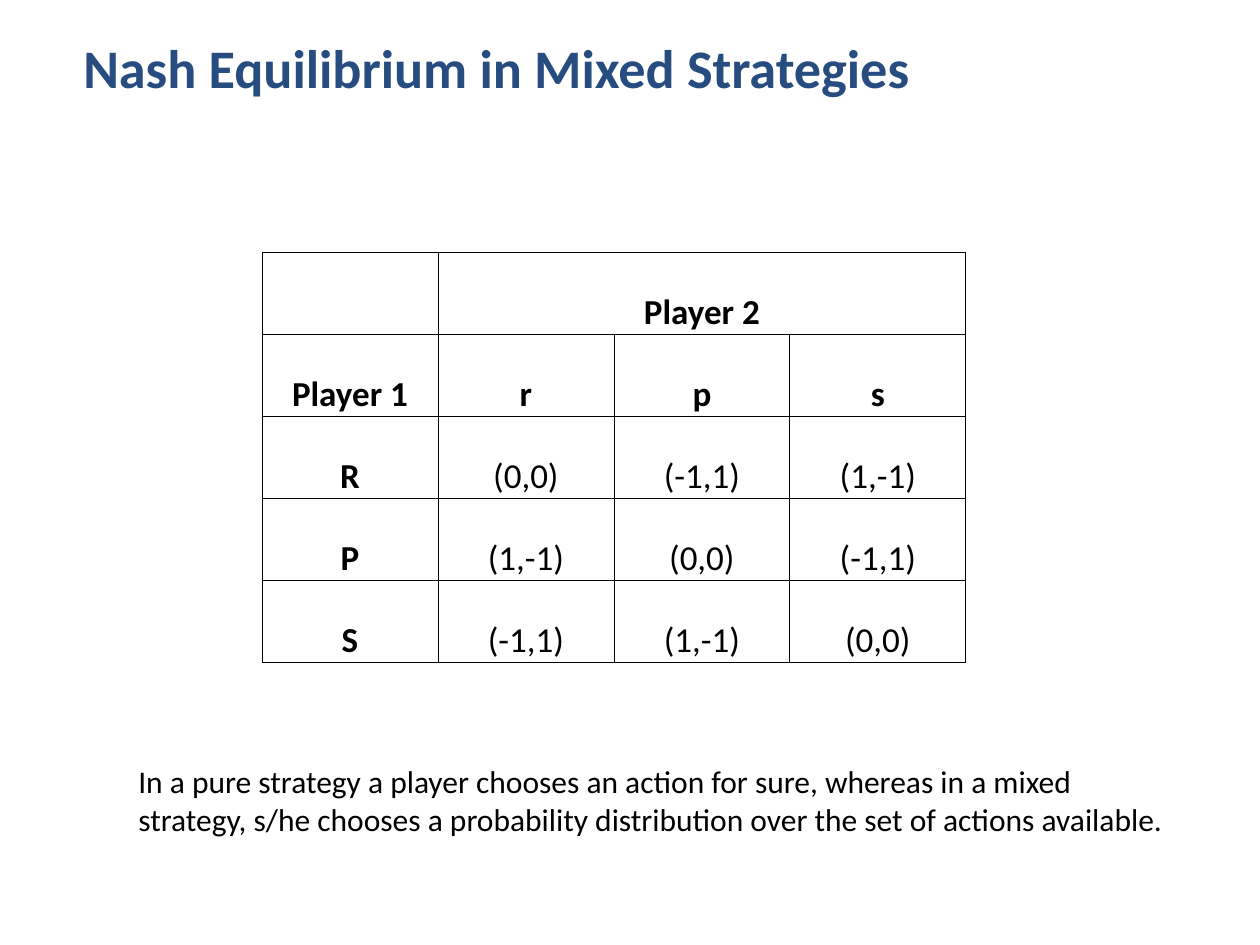
from dataclasses import dataclass

import pptx
import pptx.dml.color
import pptx.enum.text
import pptx.oxml
import pptx.oxml.ns
import pptx.util

EMU_PER_PX = 914400 / 126
FONT = "Calibri"
COLORS = {"title": "264C80", "text": "000000", "border": "000000"}
BORDER_POINTS = 0.5


@dataclass(frozen=True)
class TextBlock:
    text: str
    left: int
    top: int
    width: int
    height: int
    size: int
    color: str
    bold: bool = False
    indent: int = 0
    line_spacing: float = 1.0


@dataclass(frozen=True)
class PayoffTable:
    rows: tuple[tuple[str, ...], ...]
    left: int
    top: int
    column_width: int
    row_height: int
    size: int


TITLE = TextBlock("Nash Equilibrium in Mixed Strategies", 63, 35, 1134, 158, 31,
                  "title", bold=True, indent=8, line_spacing=0.9)
EXPLANATION = TextBlock(
    "In a pure strategy a player chooses an action for sure, whereas in a mixed "
    "strategy, s/he chooses a probability distribution over the set of actions available.",
    126, 756, 1071, 120, 18, "text")
PAYOFFS = PayoffTable(
    (("", "Player 2", "", ""),
     ("Player 1", "r", "p", "s"),
     ("R", "(0,0)", "(-1,1)", "(1,-1)"),
     ("P", "(1,-1)", "(0,0)", "(-1,1)"),
     ("S", "(-1,1)", "(1,-1)", "(0,0)")),
    262, 252, 176, 82, 20)


def px(length: int) -> pptx.util.Emu:
    return pptx.util.Emu(round(length * EMU_PER_PX))


def set_font(paragraph, size: int, color: str, bold: bool) -> None:
    font = paragraph.font
    font.name = FONT
    font.size = pptx.util.Pt(size)
    font.bold = bold
    font.color.rgb = pptx.dml.color.RGBColor.from_string(COLORS[color])


def add_text(slide, block: TextBlock) -> None:
    shape = slide.shapes.add_textbox(
        px(block.left), px(block.top), px(block.width), px(block.height))
    shape.text_frame.word_wrap = True
    paragraph = shape.text_frame.paragraphs[0]
    paragraph.text = block.text
    paragraph.line_spacing = block.line_spacing
    if block.indent:
        paragraph._p.get_or_add_pPr().set("marL", str(px(block.indent)))
    set_font(paragraph, block.size, block.color, block.bold)


def set_borders(cell) -> None:
    properties = cell._tc.get_or_add_tcPr()
    for position, side in enumerate(("lnL", "lnR", "lnT", "lnB")):
        line = pptx.oxml.parse_xml(
            f'<a:{side} {pptx.oxml.ns.nsdecls("a")} w="{pptx.util.Pt(BORDER_POINTS)}">'
            f'<a:solidFill><a:srgbClr val="{COLORS["border"]}"/></a:solidFill></a:{side}>')
        properties.insert(position, line)


def add_payoff_table(slide, payoffs: PayoffTable) -> None:
    row_count, column_count = len(payoffs.rows), len(payoffs.rows[0])
    table = slide.shapes.add_table(
        row_count, column_count, px(payoffs.left), px(payoffs.top),
        px(payoffs.column_width * column_count), px(payoffs.row_height * row_count)).table
    table.first_row = table.horz_banding = False
    for column in table.columns:
        column.width = px(payoffs.column_width)
    for row in table.rows:
        row.height = px(payoffs.row_height)

    for row_index, row_texts in enumerate(payoffs.rows):
        for column_index, text in enumerate(row_texts):
            cell = table.cell(row_index, column_index)
            cell.fill.background()
            set_borders(cell)
            cell.margin_left = cell.margin_right = cell.margin_top = px(1)
            cell.margin_bottom = 0
            cell.vertical_anchor = pptx.enum.text.MSO_ANCHOR.BOTTOM
            paragraph = cell.text_frame.paragraphs[0]
            paragraph.text = text
            paragraph.alignment = pptx.enum.text.PP_ALIGN.CENTER
            is_heading = row_index < 2 or column_index == 0
            set_font(paragraph, payoffs.size, "text", is_heading)

    # Player 2 spans all of its actions
    table.cell(0, 1).merge(table.cell(0, column_count - 1))


def main() -> None:
    presentation = pptx.Presentation()
    presentation.slide_width = px(1260)
    presentation.slide_height = px(945)
    slide = presentation.slides.add_slide(presentation.slide_layouts[6])

    # Title, payoff matrix, explanation
    add_text(slide, TITLE)
    add_payoff_table(slide, PAYOFFS)
    add_text(slide, EXPLANATION)

    presentation.save("out.pptx")


if __name__ == "__main__":
    main()
